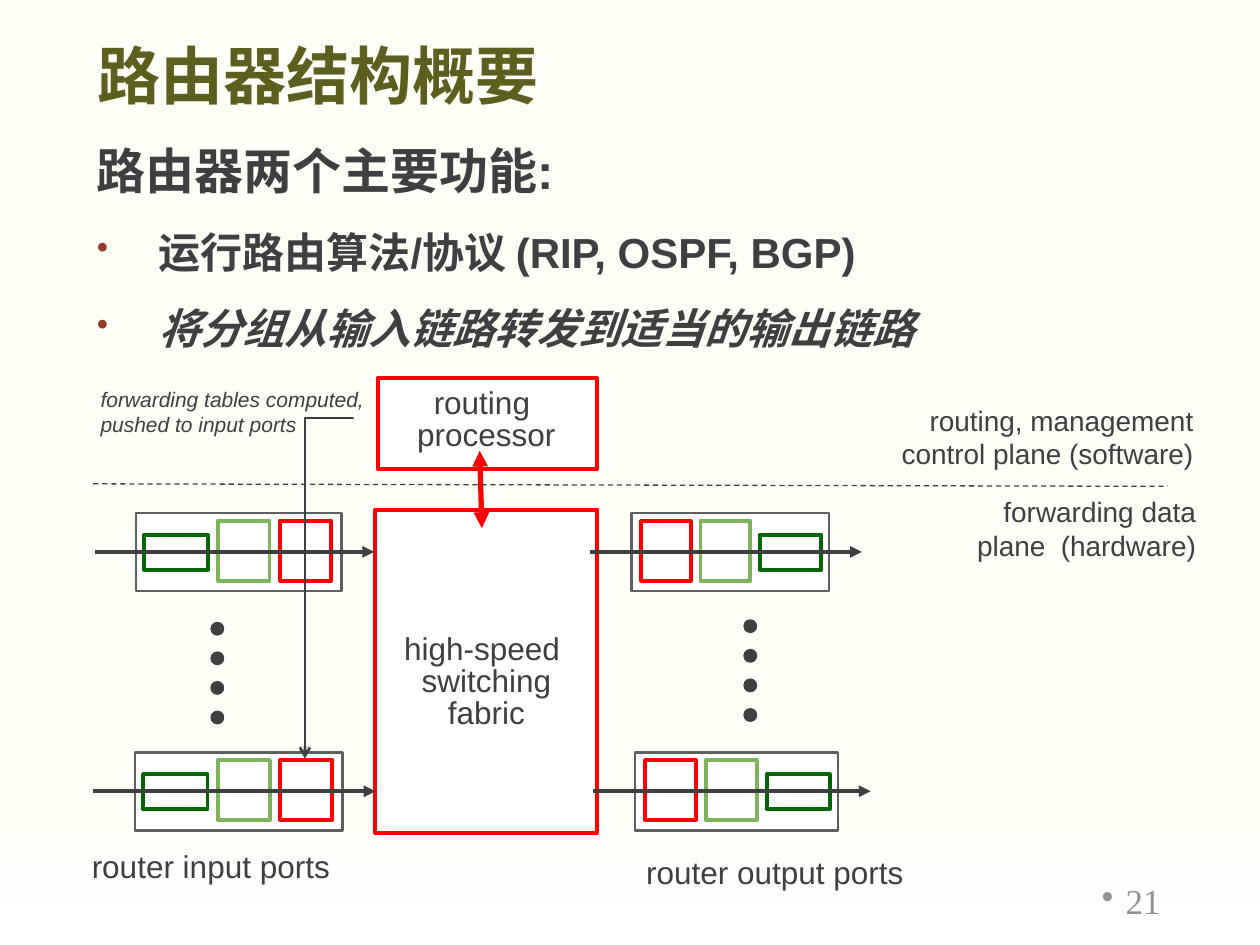
from dataclasses import dataclass

from pptx import Presentation
from pptx.dml.color import RGBColor
from pptx.enum.dml import MSO_LINE
from pptx.enum.shapes import MSO_CONNECTOR, MSO_SHAPE
from pptx.enum.text import MSO_ANCHOR, MSO_AUTO_SIZE, PP_ALIGN
from pptx.oxml.ns import qn
from pptx.util import Inches, Pt
from lxml.etree import SubElement

COLUMNS, ROWS = 100, 75
SLIDE_WIDTH, SLIDE_HEIGHT = Inches(10), Inches(7.5)


class Theme:
    ink, title, bullet, page = "3D3F41", "5D5F1F", "963B22", "919293"
    paper, white = "FDFFF7", "FFFFFF"
    red, frame, dark_green, light_green = "FF0000", "5F5F5F", "006600", "7DB359"
    font, page_font = "Arial", "Times New Roman"
    title_size, lead_size, point_size, page_size = 36, 28, 24, 20
    label_size, plane_size, note_size = 18, 16, 12
    hairline, thin, medium, thick = 0.75, 1.5, 2.25, 3


def across(columns):
    return round(columns * SLIDE_WIDTH / COLUMNS)


def down(rows):
    return round(rows * SLIDE_HEIGHT / ROWS)


@dataclass
class Box:
    """A rectangle in grid columns and rows."""
    left: float
    top: float
    width: float
    height: float

    @property
    def right(self):
        return self.left + self.width

    @property
    def middle(self):
        return self.top + self.height / 2

    def inner(self, x, y, width, height):
        """A box inside this one, given as shares of it."""
        return Box(self.left + x * self.width, self.top + y * self.height,
                   width * self.width, height * self.height)

    def place(self):
        return across(self.left), down(self.top), across(self.width), down(self.height)


def rgb(color):
    return RGBColor.from_string(color)


def draw_shape(slide, box, fill, line, weight, kind=MSO_SHAPE.RECTANGLE):
    shape = slide.shapes.add_shape(kind, *box.place())
    shape.shadow.inherit = False
    shape.fill.solid()
    shape.fill.fore_color.rgb = rgb(fill)
    shape.line.color.rgb = rgb(line)
    shape.line.width = Pt(weight)


def draw_line(slide, start, end, color, weight, head=None, tail=None,
              kind=MSO_CONNECTOR.STRAIGHT):
    line = slide.shapes.add_connector(kind, across(start[0]), down(start[1]),
                                      across(end[0]), down(end[1]))
    line.line.color.rgb = rgb(color)
    line.line.width = Pt(weight)
    properties = line._element.spPr
    for tag, arrow in (("a:headEnd", head), ("a:tailEnd", tail)):
        if arrow:
            SubElement(properties.get_or_add_ln(), qn(tag), type=arrow)
    SubElement(properties, qn("a:effectLst"))
    return line


def style(paragraph, size, color=Theme.ink, font=Theme.font, bold=None, italic=None):
    paragraph.font.size = Pt(size)
    paragraph.font.name = font
    paragraph.font.color.rgb = rgb(color)
    paragraph.font.bold = bold
    paragraph.font.italic = italic


def hang(paragraph, indent, bullet=False, color=None, percent=None):
    properties = paragraph._p.get_or_add_pPr()
    properties.set("marL", str(across(indent)))
    properties.set("indent", str(-across(indent)))
    if color:
        bullet_color = SubElement(properties, qn("a:buClr"))
        SubElement(bullet_color, qn("a:srgbClr"), val=color)
    if percent:
        SubElement(properties, qn("a:buSzPct"), val=str(percent * 1000))
    if bullet:
        SubElement(properties, qn("a:buChar"), char="•")


def draw_text(slide, box, lines, size, align=PP_ALIGN.LEFT, spacing=None,
              wrap=False, italic=None):
    frame = slide.shapes.add_textbox(*box.place()).text_frame
    frame.word_wrap = wrap
    frame.auto_size = MSO_AUTO_SIZE.SHAPE_TO_FIT_TEXT
    frame.text = "\n".join(lines)
    for paragraph in frame.paragraphs:
        paragraph.alignment = align
        paragraph.line_spacing = spacing
        style(paragraph, size, italic=italic)


def paint_background(slide):
    fill = slide.background.fill
    fill.gradient()
    fill.gradient_angle = 270
    for stop, position, color in zip(fill.gradient_stops, (0.84, 1), (Theme.paper, Theme.white)):
        stop.position = position
        stop.color.rgb = rgb(color)


def set_title(slide, box):
    title = slide.shapes.title
    title.left, title.top, title.width, title.height = box.place()
    frame = title.text_frame
    frame.text = "路由器结构概要"
    frame.vertical_anchor = MSO_ANCHOR.BOTTOM
    frame.auto_size = MSO_AUTO_SIZE.NONE
    heading = frame.paragraphs[0]
    heading.alignment = PP_ALIGN.LEFT
    heading.line_spacing = 0.9
    style(heading, Theme.title_size, Theme.title, bold=True)


def add_functions(slide, box):
    frame = slide.shapes.add_textbox(*box.place()).text_frame
    frame.word_wrap = True
    frame.text = "路由器两个主要功能: \n运行路由算法/协议 (RIP, OSPF, BGP)\n将分组从输入链路转发到适当的输出链路"
    lead, algorithms, forwarding = frame.paragraphs
    hang(lead, 4.9)
    for point in (algorithms, forwarding):
        point.space_before = Pt(18)
        hang(point, 4.9, True, Theme.bullet, 80)
    for paragraph, size in zip(frame.paragraphs,
                               (Theme.lead_size, Theme.point_size, Theme.point_size)):
        paragraph.alignment = PP_ALIGN.JUSTIFY
        paragraph.line_spacing = 0.9
        style(paragraph, size, bold=True)
    forwarding.font.italic = True


def add_page_number(slide, box):
    frame = slide.shapes.add_textbox(*box.place()).text_frame
    frame.word_wrap = True
    frame.vertical_anchor = MSO_ANCHOR.MIDDLE
    frame.text = "21"
    number = frame.paragraphs[0]
    number.alignment = PP_ALIGN.RIGHT
    hang(number, 1.9, bullet=True)
    style(number, Theme.page_size, Theme.page, Theme.page_font)


def add_core(slide, box):
    """Switching fabric below, routing processor above, and the arrow between."""
    draw_shape(slide, box.inner(0, 0.29, 1, 0.71), Theme.white, Theme.red, Theme.medium)
    draw_text(slide, box.inner(0.07, 0.55, 0.86, 0.25), ("high-speed ", "switching", "fabric"),
              Theme.label_size, PP_ALIGN.CENTER, 0.85)
    draw_shape(slide, box.inner(0.01, 0, 0.99, 0.2), Theme.white, Theme.red, Theme.medium)
    draw_text(slide, box.inner(0.13, 0.01, 0.74, 0.17), ("routing ", "processor"),
              Theme.label_size, PP_ALIGN.CENTER, 0.85)
    link = box.inner(0.47, 0.16, 0.01, 0.17)
    draw_line(slide, (link.left, link.top), (link.right, link.top + link.height),
              Theme.red, Theme.thick, "triangle", "triangle")


def add_port(slide, box, mirrored):
    """Line card with three stages; output ports mirror input ports."""
    draw_shape(slide, box, Theme.white, Theme.frame, Theme.thin)
    stages = ((0.04, 0.28, 0.31, 0.45, Theme.dark_green),
              (0.4, 0.1, 0.25, 0.77, Theme.light_green),
              (0.7, 0.1, 0.25, 0.77, Theme.red))
    for x, y, width, height, color in stages:
        x = 1 - x - width if mirrored else x
        draw_shape(slide, box.inner(x, y, width, height), Theme.white, color, Theme.medium)
    draw_line(slide, (box.left - 3.3, box.middle), (box.right + 2.6, box.middle),
              Theme.ink, Theme.medium, tail="triangle")


def add_port_group(slide, ports, first_dot, label_box, label, mirrored=False):
    for port in ports:
        add_port(slide, port, mirrored)
    dot_left, dot_top = first_dot
    for step in range(4):
        draw_shape(slide, Box(dot_left, dot_top + 2.35 * step, 1, 1), Theme.ink, Theme.ink,
                   Theme.hairline, MSO_SHAPE.OVAL)
    draw_text(slide, label_box, (label,), Theme.label_size)


def add_planes(slide, control_box, data_box):
    divider = draw_line(slide, (7.4, 38.4), (92.7, 38.6), Theme.ink, Theme.hairline)
    divider.line.dash_style = MSO_LINE.DASH
    draw_text(slide, data_box, ("forwarding data plane  (hardware)",), Theme.plane_size,
              PP_ALIGN.RIGHT, wrap=True)
    draw_text(slide, control_box, ("routing, management", "control plane (software)"),
              Theme.plane_size, PP_ALIGN.RIGHT, wrap=True)


def add_table_push(slide, push_box, note_box):
    """Note and bent arrow, turned a quarter, down to the input ports."""
    push = draw_line(slide, (push_box.left, push_box.top),
                     (push_box.right, push_box.top + push_box.height),
                     Theme.ink, Theme.thin, tail="arrow", kind=MSO_CONNECTOR.ELBOW)
    properties = push._element.spPr
    properties.find(qn("a:xfrm")).set("rot", str(90 * 60000))
    adjustments = properties.find(qn("a:prstGeom")).get_or_add_avLst()
    SubElement(adjustments, qn("a:gd"), name="adj1", fmla="val -100")
    draw_text(slide, note_box, ("forwarding tables computed,", "pushed to input ports"),
              Theme.note_size, italic=True)


def main():
    deck = Presentation()
    deck.slide_width, deck.slide_height = SLIDE_WIDTH, SLIDE_HEIGHT
    slide = deck.slides.add_slide(deck.slide_layouts.get_by_name("Title Only"))
    paint_background(slide)
    set_title(slide, Box(6.7, 2.8, 85, 6.7))
    add_functions(slide, Box(6.7, 11.2, 88.9, 18.8))
    add_page_number(slide, Box(70.6, 69.5, 22.5, 4))
    add_core(slide, Box(29.8, 30, 17.6, 36.1))
    add_port_group(slide, (Box(10.8, 40.7, 16.3, 6.2), Box(10.7, 59.7, 16.5, 6.2)),
                   (16.75, 49.4), Box(6.3, 66.7, 20.9, 4), "router input ports")
    add_port_group(slide, (Box(50.1, 40.7, 15.7, 6.2), Box(50.4, 59.7, 16.1, 6.2)),
                   (59.05, 49.2), Box(50.3, 67.2, 22.4, 4), "router output ports", mirrored=True)
    add_planes(slide, Box(68.9, 31.5, 26.8, 6.4), Box(74.7, 38.8, 21.2, 6.4))
    add_table_push(slide, Box(12.6, 44.8, 27, 3.8), Box(7, 30.2, 23.6, 5))
    deck.save("out.pptx")


if __name__ == "__main__":
    main()
